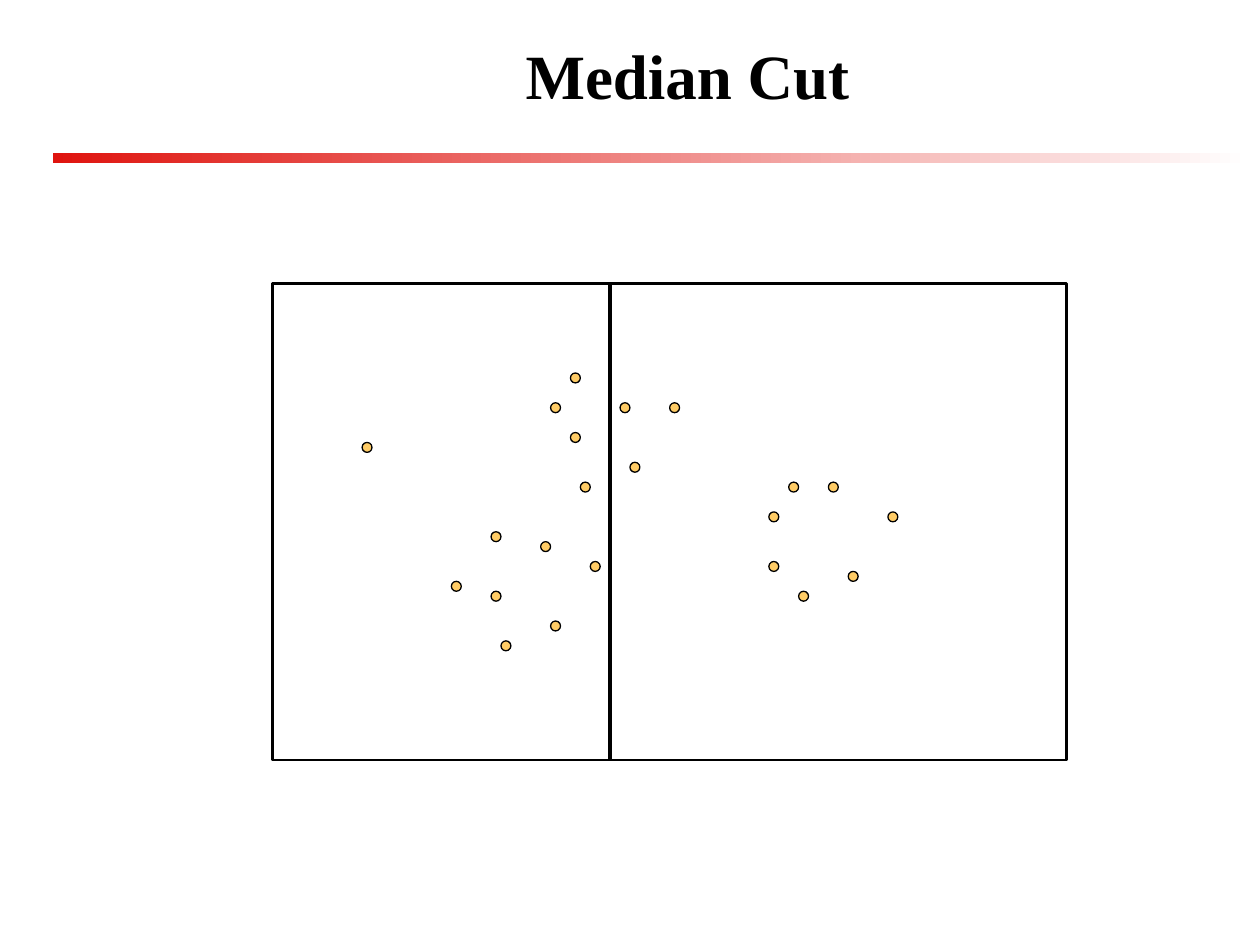
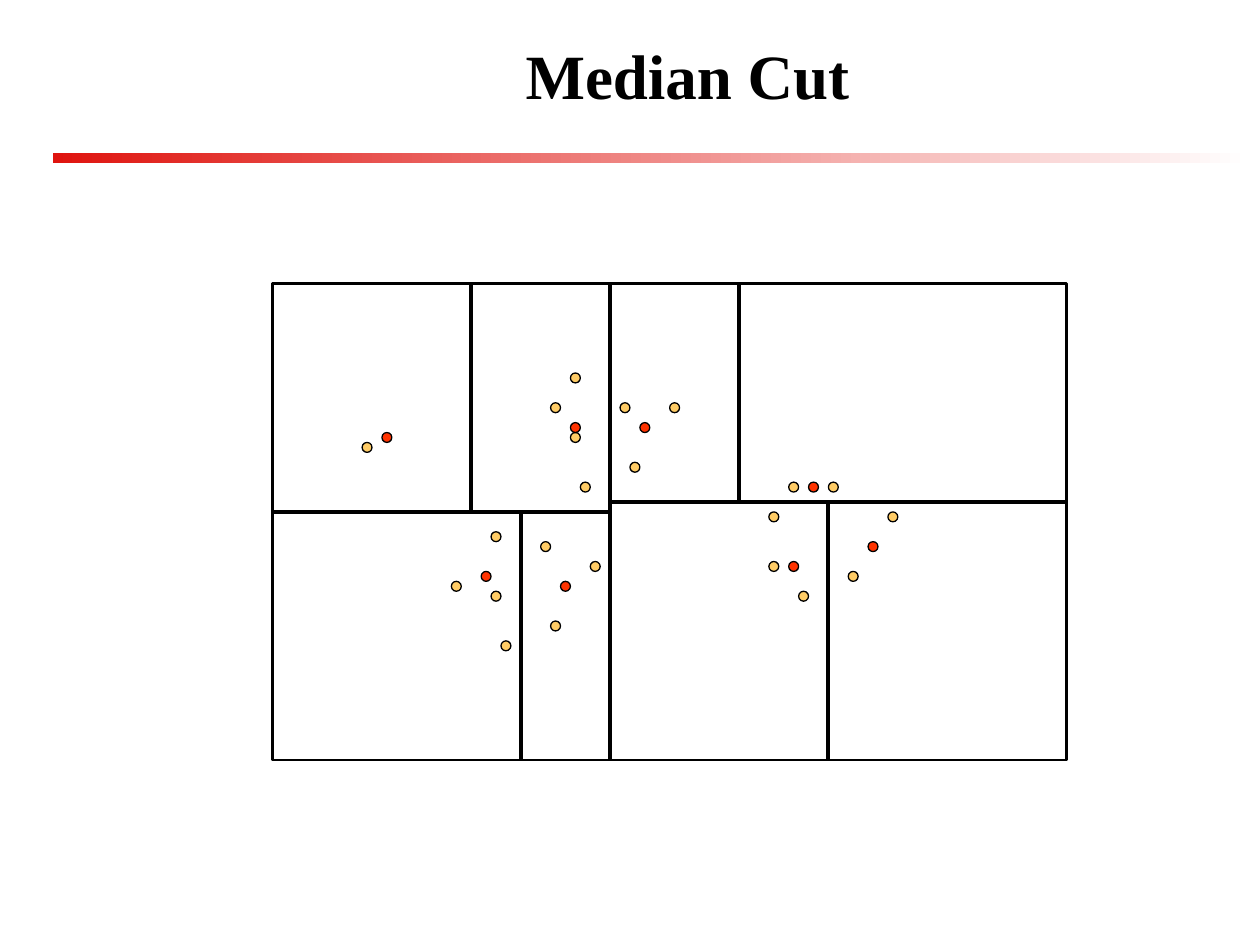
import pptx
import pptx.util
import pptx.dml.color
import pptx.enum.shapes
import pptx.enum.text
import pptx.oxml

Cm = pptx.util.Cm
Pt = pptx.util.Pt
RGBColor = pptx.dml.color.RGBColor
SHAPE = pptx.enum.shapes.MSO_SHAPE

RED = RGBColor(0xDF, 0x14, 0x0F)
WHITE = RGBColor(0xFF, 0xFF, 0xFF)
BLACK = RGBColor(0x00, 0x00, 0x00)
SAMPLE = RGBColor(0xFF, 0xCC, 0x66)
MEDIAN = RGBColor(0xFF, 0x33, 0x00)

FONT = "Times New Roman"
BAND_BOX = (1.06, 3.08, 24.13, 0.2)
TITLE_BOX = (2.96, 0.43, 21.8, 2.12)
PLOT_BOX = (5.5, 5.72, 16, 9.6)
UNIT = 0.2
COLS, ROWS = 80, 48

SAMPLES = [
    (36, 18), (31, 20), (40, 12), (35, 12), (30, 15), (28, 12), (30, 9),
    (58, 29), (53, 31), (62, 23), (56, 20), (50, 28), (50, 23), (52, 20),
    (28, 34), (23, 36), (32, 28), (27, 26), (22, 31), (18, 30), (22, 25),
    (9, 16),
]
MEDIANS = [
    (37, 14), (54, 20), (52, 28), (60, 26),
    (29, 30), (21, 29), (11, 15), (30, 14),
]

MIDDLE = 34
LEFT_SPLIT, RIGHT_SPLIT = 23, 22
FIRST_CUT = [(MIDDLE, 0, MIDDLE, ROWS)]
LATER_CUTS = [
    (0, LEFT_SPLIT, MIDDLE, LEFT_SPLIT),
    (MIDDLE, RIGHT_SPLIT, COLS, RIGHT_SPLIT),
    (20, 0, 20, LEFT_SPLIT),
    (25, LEFT_SPLIT, 25, ROWS),
    (47, 0, 47, RIGHT_SPLIT),
    (56, RIGHT_SPLIT, 56, ROWS),
]


def add_plain(slide, kind, box, line_width=None):
    sp = slide.shapes.add_shape(kind, *map(Cm, box))
    sp.shadow.inherit = False
    if line_width:
        sp.line.color.rgb = BLACK
        sp.line.width = Pt(line_width)
    else:
        sp.line.fill.background()
    return sp


def add_band(slide, box):
    sp = add_plain(slide, SHAPE.RECTANGLE, box)
    sp.fill.gradient()
    sp.fill.gradient_angle = 0
    for stop, color in zip(sp.fill.gradient_stops, (RED, WHITE)):
        stop.color.rgb = color
    slide.slide_layout.shapes.element.append(sp.element)


def add_title(slide, text, box):
    sp = slide.shapes.title
    sp.left, sp.top, sp.width, sp.height = map(Cm, box)
    tf = sp.text_frame
    tf.auto_size = pptx.enum.text.MSO_AUTO_SIZE.NONE
    tf.vertical_anchor = pptx.enum.text.MSO_ANCHOR.MIDDLE
    p = tf.paragraphs[0]
    p.alignment = pptx.enum.text.PP_ALIGN.CENTER
    r = p.add_run()
    r.text = text
    r.font.name = FONT
    r.font.size = Pt(36)
    r.font.bold = True
    r.font.color.rgb = BLACK


def add_dots(slide, cells, color, box):
    left, top = box[:2]
    for col, row in cells:
        dot_box = (left + col * UNIT, top + row * UNIT, UNIT, UNIT)
        sp = add_plain(slide, SHAPE.OVAL, dot_box, 0.75)
        sp.fill.solid()
        sp.fill.fore_color.rgb = color


def add_cuts(slide, cuts, box):
    left, top = box[:2]
    for x1, y1, x2, y2 in cuts:
        cut = slide.shapes.add_connector(
            pptx.enum.shapes.MSO_CONNECTOR.STRAIGHT,
            Cm(left + x1 * UNIT), Cm(top + y1 * UNIT),
            Cm(left + x2 * UNIT), Cm(top + y2 * UNIT))
        cut.line.color.rgb = BLACK
        cut.line.width = Pt(2.25)
        cut.element.spPr.append(pptx.oxml.parse_xml(
            '<a:effectLst xmlns:a='
            '"http://schemas.openxmlformats.org/drawingml/2006/main"/>'))


def add_plot(slide, cuts, medians, box):
    add_dots(slide, SAMPLES, SAMPLE, box)
    frame = add_plain(slide, SHAPE.RECTANGLE, box, 1.5)
    frame.fill.background()
    add_cuts(slide, cuts, box)
    add_dots(slide, medians, MEDIAN, box)


def add_cut_slide(prs, cuts, medians):
    slide = prs.slides.add_slide(prs.slide_layouts.get_by_name("Title Only"))
    add_title(slide, "Median Cut", TITLE_BOX)
    add_plot(slide, cuts, medians, PLOT_BOX)
    return slide


def main():
    prs = pptx.Presentation()
    prs.slide_width, prs.slide_height = Cm(25.4), Cm(19.05)
    first = add_cut_slide(prs, FIRST_CUT, [])
    add_band(first, BAND_BOX)
    add_cut_slide(prs, FIRST_CUT + LATER_CUTS, MEDIANS)
    prs.save("out.pptx")


if __name__ == "__main__":
    main()
